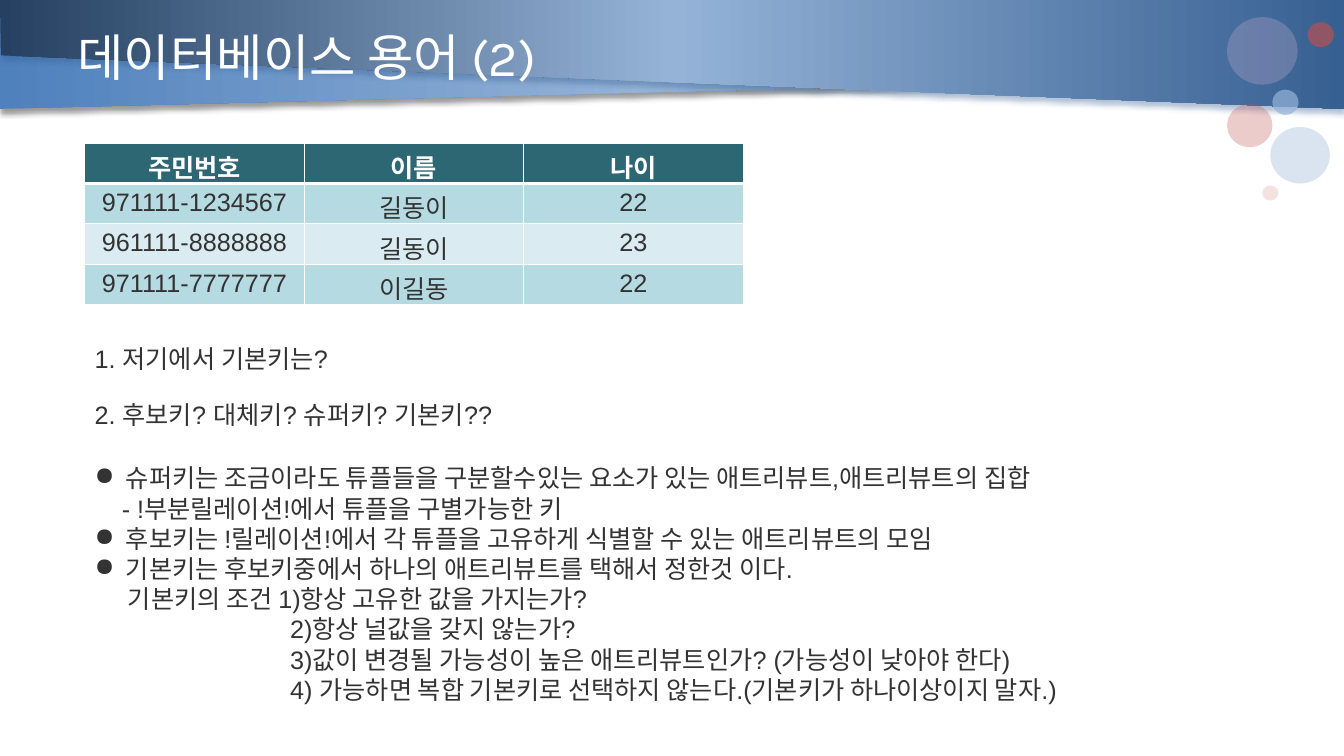
from lxml.etree import SubElement
from pptx import Presentation
from pptx.dml.color import RGBColor
from pptx.enum.shapes import MSO_SHAPE
from pptx.enum.text import MSO_ANCHOR, PP_ALIGN
from pptx.oxml.ns import qn
from pptx.util import Inches, Pt

WIDTH, HEIGHT = Inches(13.33), Inches(7.5)
WHITE, INK = "FFFFFF", "333333"
HEADER_FILL, ROW_FILLS = "2E6774", ("B6DAE2", "DAECF1")
TITLE_FORMAT = {"name": "Karla", "size": Pt(36), "bold": False}
BODY_FORMAT = {"name": "Arial", "size": Pt(18), "bold": False}
HEADER_FORMAT = {**BODY_FORMAT, "bold": True}

# Banner outlines and circles are percentages of the slide's width and height.
BANNERS = [
    ([(0, 0), (96.7, 10), (0, 14.4)], ("4F81BD", "95B3D7", "376092"), "000000"),
    ([(100, 0), (0, 0), (0.07, 7.33), (100, 14.4)],
     ("254061", "95B3D7", "376092"), "376092"),
]
CIRCLES = [
    (93.92, 24.53, 1.2, 2, "F2DCDB", 82),
    (91.3, 13.73, 3.38, 5.73, "C0504D", 29),
    (94.52, 16.8, 4.43, 7.47, "95B3D7", 35),
    (94.67, 11.87, 1.95, 3.33, "95B3D7", 70),
    (91.3, 2.27, 5.25, 8.93, "B3A2C7", 36),
    (97.3, 2.93, 1.95, 3.33, "C0504D", 65),
]
PEOPLE = [
    ("주민번호", "이름", "나이"),
    ("971111-1234567", "길동이", "22"),
    ("961111-8888888", "길동이", "23"),
    ("971111-7777777", "이길동", "22"),
]
QUESTIONS = ["1. 저기에서 기본키는?", "2. 후보키? 대체키? 슈퍼키? 기본키??"]
# Each line has its indent as a percentage of the width, and whether it is a bullet.
BULLET, DASH, CONDITION, STEP = (2.33, True), (2.03, False), (2.48, False), (14.55, False)
KEY_NOTES = [
    ("슈퍼키는 조금이라도 튜플들을 구분할수있는 요소가 있는 애트리뷰트,애트리뷰트의 집합", BULLET),
    ("- !부분릴레이션!에서 튜플을 구별가능한 키", DASH),
    ("후보키는 !릴레이션!에서 각 튜플을 고유하게 식별할 수 있는 애트리뷰트의 모임", BULLET),
    ("기본키는 후보키중에서 하나의 애트리뷰트를 택해서 정한것 이다.", BULLET),
    ("기본키의 조건 1)항상 고유한 값을 가지는가?", CONDITION),
    ("2)항상 널값을 갖지 않는가?", STEP),
    ("3)값이 변경될 가능성이 높은 애트리뷰트인가? (가능성이 낮아야 한다)", STEP),
    ("4) 가능하면 복합 기본키로 선택하지 않는다.(기본키가 하나이상이지 말자.)", STEP),
]


def across(percent):
    """Return a share of the slide's width."""
    return int(WIDTH * percent / 100)


def down(percent):
    """Return a share of the slide's height."""
    return int(HEIGHT * percent / 100)


def place(left, top, width, height):
    """Turn four percentages into a position and a size."""
    return across(left), down(top), across(width), down(height)


def paint(target, color):
    """Give a fill a solid colour from a hex string."""
    target.solid()
    target.fore_color.rgb = RGBColor.from_string(color)


def add_node(parent, tag, **values):
    """Append an XML element with the given attributes."""
    return SubElement(parent, qn(tag), {key: str(value) for key, value in values.items()})


def add_color(parent, color, alpha=100):
    """Append a colour with its opacity in percent."""
    node = add_node(parent, "a:srgbClr", val=color)
    if alpha < 100:
        add_node(node, "a:alpha", val=alpha * 1000)


def write(para, text, color, values):
    """Add a run of text with its font format."""
    span = para.add_run()
    span.text = text
    for key, value in values.items():
        setattr(span.font, key, value)
    span.font.color.rgb = RGBColor.from_string(color)


def add_banner(page, points, colors, shadow_color):
    """Draw a banner with a left-to-right gradient and a soft shadow."""
    corners = [(across(x), down(y)) for x, y in points]
    builder = page.shapes.build_freeform(*corners[0], scale=1.0)
    builder.add_line_segments(corners[1:], close=True)
    banner = builder.convert_to_shape()
    banner.line.fill.background()
    banner.fill.gradient()
    banner.fill.gradient_angle = 0
    properties = banner._element.spPr
    stops = properties.find(qn("a:gradFill")).find(qn("a:gsLst"))
    for stop in list(stops):
        stops.remove(stop)
    for index, color in enumerate(colors):
        add_color(add_node(stops, "a:gs", pos=index * 50000), color)
    banner.shadow.inherit = False
    shadow = add_node(properties.find(qn("a:effectLst")), "a:outerShdw",
                      blurRad=Pt(4), dist=Pt(3), dir=5400000, rotWithShape=0)
    add_color(shadow, shadow_color, 40)


def add_circle(page, left, top, width, height, color, alpha):
    """Draw a translucent circle."""
    circle = page.shapes.add_shape(MSO_SHAPE.OVAL, *place(left, top, width, height))
    circle.shadow.inherit = False
    circle.line.fill.background()
    paint(circle.fill, color)
    node = circle._element.spPr.find(qn("a:solidFill"))[0]
    add_node(node, "a:alpha", val=alpha * 1000)


def indent(para, percent, bulleted):
    """Indent a paragraph, with a hanging bullet if wanted."""
    properties = para._p.get_or_add_pPr()
    properties.set("marL", str(across(percent)))
    properties.set("indent", str(-across(percent) if bulleted else 0))
    if bulleted:
        add_node(properties, "a:buChar", char="●")


def add_text(page, area, lines, color, values, anchor=MSO_ANCHOR.TOP):
    """Add a text box of (text, indent) lines."""
    frame = page.shapes.add_textbox(*place(*area)).text_frame
    frame.word_wrap = True
    frame.vertical_anchor = anchor
    for index, (text, level) in enumerate(lines):
        para = frame.add_paragraph() if index else frame.paragraphs[0]
        write(para, text, color, values)
        if level:
            indent(para, *level)


def add_borders(cell, top, bottom):
    """Give a cell white borders, with the top and bottom widths in points."""
    properties = cell._tc.get_or_add_tcPr()
    widths = {"a:lnL": 0.96, "a:lnR": 0.96, "a:lnT": top, "a:lnB": bottom}
    for tag, width in widths.items():
        add_color(add_node(add_node(properties, tag, w=Pt(width)), "a:solidFill"), WHITE)


def add_people_table(page, left, top, width):
    """Add the table of people with a header row and banded rows."""
    heights = [down(4.67)] + [down(5.07)] * (len(PEOPLE) - 1)
    table = page.shapes.add_table(len(PEOPLE), len(PEOPLE[0]), across(left), down(top),
                                  across(width), sum(heights)).table
    for row_index, record in enumerate(PEOPLE):
        header = row_index == 0
        table.rows[row_index].height = heights[row_index]
        for column_index, text in enumerate(record):
            cell = table.cell(row_index, column_index)
            para = cell.text_frame.paragraphs[0]
            para.alignment = PP_ALIGN.CENTER
            write(para, text, WHITE if header else INK,
                  HEADER_FORMAT if header else BODY_FORMAT)
            add_borders(cell, 3 if row_index == 1 else 0.96, 3 if header else 0.96)
            paint(cell.fill, HEADER_FILL if header else ROW_FILLS[(row_index - 1) % 2])


def main():
    """Build the slide on database terms."""
    deck = Presentation()
    deck.slide_width, deck.slide_height = WIDTH, HEIGHT
    page = deck.slides.add_slide(deck.slide_layouts[6])
    for banner in BANNERS:
        add_banner(page, *banner)
    for circle in CIRCLES:
        add_circle(page, *circle)
    add_text(page, (5.03, 1.07, 90, 12.67), [("데이터베이스 용어 (2)", None)],
             WHITE, TITLE_FORMAT, MSO_ANCHOR.MIDDLE)
    add_people_table(page, 6.3, 18.93, 49)
    for index, question in enumerate(QUESTIONS):
        add_text(page, (6.3, 44.8 + index * 7.33, 89.8, 5.33), [(question, None)],
                 INK, BODY_FORMAT)
    add_text(page, (6.3, 60.53, 85.67, 33.33), KEY_NOTES, INK, BODY_FORMAT)
    deck.save("out.pptx")


main()
